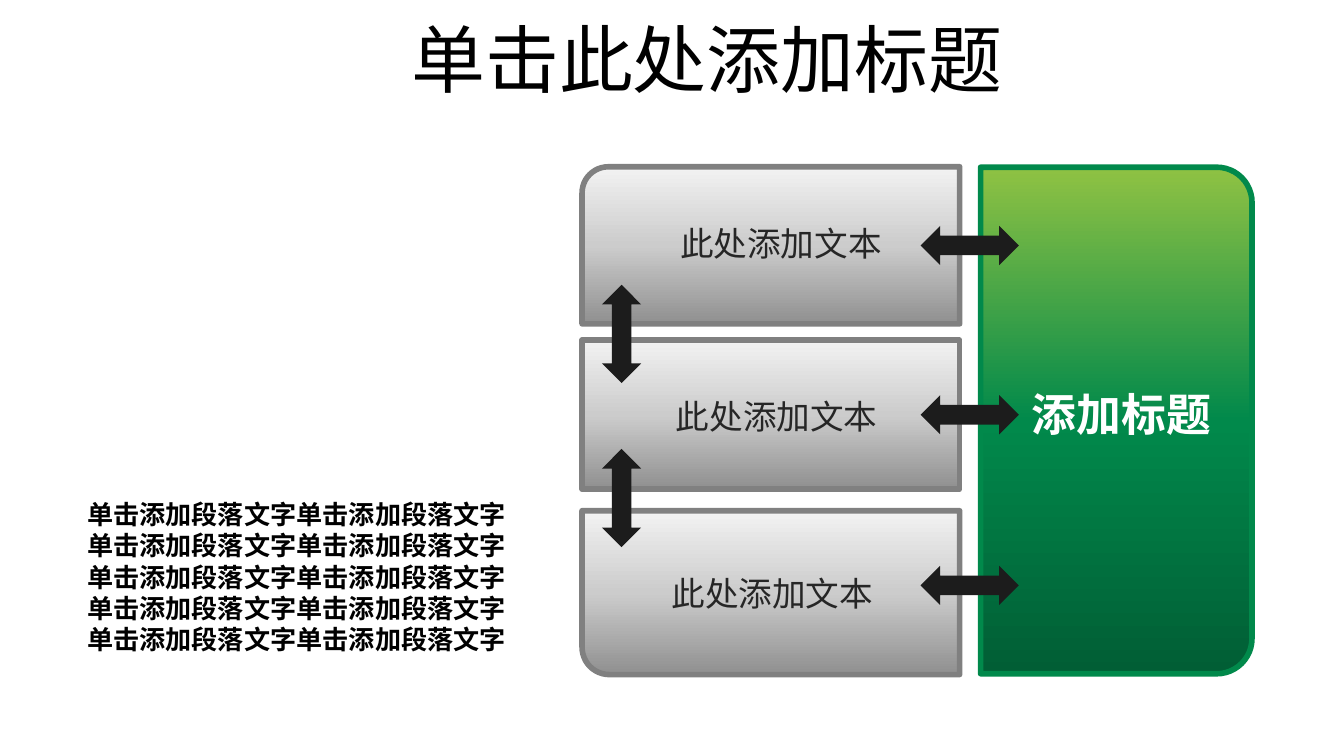
from copy import deepcopy
from dataclasses import dataclass

from lxml import etree
from pptx import Presentation
from pptx.dml.color import RGBColor
from pptx.enum.shapes import MSO_SHAPE
from pptx.enum.text import MSO_ANCHOR, PP_ALIGN
from pptx.oxml.ns import qn
from pptx.util import Pt

ROUND_ONE = MSO_SHAPE.ROUND_1_RECTANGLE
ROUND_TWO = MSO_SHAPE.ROUND_2_SAME_RECTANGLE
RECTANGLE = MSO_SHAPE.RECTANGLE
DOUBLE_ARROW = MSO_SHAPE.LEFT_RIGHT_ARROW
CENTER, LEFT = PP_ALIGN.CENTER, PP_ALIGN.LEFT
MIDDLE, TOP = MSO_ANCHOR.MIDDLE, MSO_ANCHOR.TOP

BLACK = RGBColor(0x00, 0x00, 0x00)
WHITE = RGBColor(0xFF, 0xFF, 0xFF)
LABEL_INK = RGBColor(0x26, 0x26, 0x26)
ARROW_INK = RGBColor(0x1C, 0x1C, 0x1C)
GREEN_EDGE = RGBColor(0x01, 0x89, 0x4B)
GRAY_EDGE = RGBColor(0x80, 0x80, 0x80)
# Gradients run from the bottom of a panel to its top
GREENS = (RGBColor(0x01, 0x5E, 0x35), GREEN_EDGE, RGBColor(0x8F, 0xC2, 0x43))
GRAYS = (RGBColor(0x90, 0x90, 0x90), RGBColor(0xCC, 0xCC, 0xCC),
         RGBColor(0xF2, 0xF2, 0xF2))

TITLE_FONT = "DejaVu Sans"
BODY_FONT = "Noto Sans CJK SC"


@dataclass(frozen=True)
class Frame:
    """Area as seen on the slide, in points."""
    left: float
    top: float
    width: float
    height: float


@dataclass(frozen=True)
class Style:
    size: float
    color: RGBColor
    bold: bool = False
    font: str = BODY_FONT
    align: PP_ALIGN = CENTER
    anchor: MSO_ANCHOR = TOP
    wrap: bool = True
    line_pitch: float | None = 1.2


@dataclass(frozen=True)
class Panel:
    frame: Frame
    kind: MSO_SHAPE
    rotation: int
    colors: tuple
    edge: RGBColor
    label: str
    label_frame: Frame
    label_style: Style


def add_rotated(slide, kind: MSO_SHAPE, frame: Frame, rotation: int):
    """Add a shape that covers the frame after it has been turned."""
    width, height = frame.width, frame.height
    if rotation % 180:
        width, height = height, width
    left = frame.left + (frame.width - width) / 2
    top = frame.top + (frame.height - height) / 2
    shape = slide.shapes.add_shape(kind, Pt(left), Pt(top), Pt(width), Pt(height))
    shape.rotation = rotation
    shape.shadow.inherit = False
    return shape


def add_text(slide, frame: Frame, lines: list[str], style: Style) -> None:
    box = slide.shapes.add_textbox(Pt(frame.left), Pt(frame.top),
                                   Pt(frame.width), Pt(frame.height))
    text = box.text_frame
    text.word_wrap = style.wrap
    text.vertical_anchor = style.anchor
    if style.anchor == TOP:
        text.margin_top = Pt(4.8)
    text.text = "\n".join(lines)
    for paragraph in text.paragraphs:
        paragraph.alignment = style.align
        if style.line_pitch:
            paragraph.line_spacing = Pt(style.size * style.line_pitch)
        for run in paragraph.runs:
            run.font.size = Pt(style.size)
            run.font.bold = style.bold
            run.font.color.rgb = style.color
            run.font.name = style.font
            east_asian = etree.SubElement(run.font._element, qn("a:ea"))
            east_asian.set("typeface", style.font)


def add_panel(slide, panel: Panel) -> None:
    shape = add_rotated(slide, panel.kind, panel.frame, panel.rotation)
    if panel.kind == ROUND_TWO:
        shape.adjustments[0] = 0.13
    shape.line.color.rgb = panel.edge
    shape.line.width = Pt(3)
    shape.fill.gradient()
    shape.fill.gradient_angle = (90 + panel.rotation) % 360
    stop_list = shape._element.spPr.find(qn("a:gradFill")).find(qn("a:gsLst"))
    stop_list.append(deepcopy(stop_list[-1]))
    for index, (stop, color) in enumerate(zip(shape.fill.gradient_stops, panel.colors)):
        stop.position = index / 2
        stop.color.rgb = color
    add_text(slide, panel.label_frame, [panel.label], panel.label_style)


def add_arrow(slide, frame: Frame, rotation: int) -> None:
    arrow = add_rotated(slide, DOUBLE_ARROW, frame, rotation)
    arrow.fill.solid()
    arrow.fill.fore_color.rgb = ARROW_INK
    arrow.line.fill.background()


TITLE = Style(39.6, BLACK, font=TITLE_FONT, anchor=MIDDLE, line_pitch=None)
HEADING = Style(24, WHITE, bold=True)
LABEL = Style(18, LABEL_INK)
BODY = Style(14, BLACK, bold=True, align=LEFT, wrap=False)

COLUMN_LEFT, COLUMN_WIDTH = 311.8, 202.3
ARROW_LENGTH, ARROW_BREADTH = 52.6, 21


def gray_panel(top: float, height: float, kind: MSO_SHAPE, rotation: int,
               label_frame: Frame) -> Panel:
    return Panel(Frame(COLUMN_LEFT, top, COLUMN_WIDTH, height), kind, rotation,
                 GRAYS, GRAY_EDGE, "此处添加文本", label_frame, LABEL)


PANELS = [
    Panel(Frame(525.3, 89.6, 145.4, 271.4), ROUND_TWO, 90, GREENS, GREEN_EDGE,
          "添加标题", Frame(542.9, 202.3, 115.9, 36), HEADING),
    gray_panel(89.3, 84.2, ROUND_ONE, 270, Frame(354.2, 114.5, 128.2, 28.8)),
    gray_panel(182.2, 79.9, RECTANGLE, 0, Frame(349.2, 207.4, 133.9, 28.8)),
    gray_panel(273.6, 87.8, ROUND_ONE, 180, Frame(344.2, 302.4, 139, 28.8)),
]

prs = Presentation()
prs.slide_width, prs.slide_height = Pt(720), Pt(405)
slide = prs.slides.add_slide(prs.slide_layouts[6])

# Title
add_text(slide, Frame(54.7, 15.1, 648, 31.7), ["单击此处添加标题"], TITLE)

# Panels with their labels
for panel in PANELS:
    add_panel(slide, panel)

# Arrows between the gray panels and the green one
for top in (121, 211.7, 303.1):
    add_arrow(slide, Frame(493.2, top, ARROW_LENGTH, ARROW_BREADTH), 0)

# Arrows between the gray panels
for top in (240.5, 152.6):
    add_arrow(slide, Frame(322.5, top, ARROW_BREADTH, ARROW_LENGTH), 270)

# Body text
add_text(slide, Frame(39.6, 262.1, 240.5, 92.2),
         ["单击添加段落文字" * 2] * 5, BODY)

prs.save("out.pptx")
